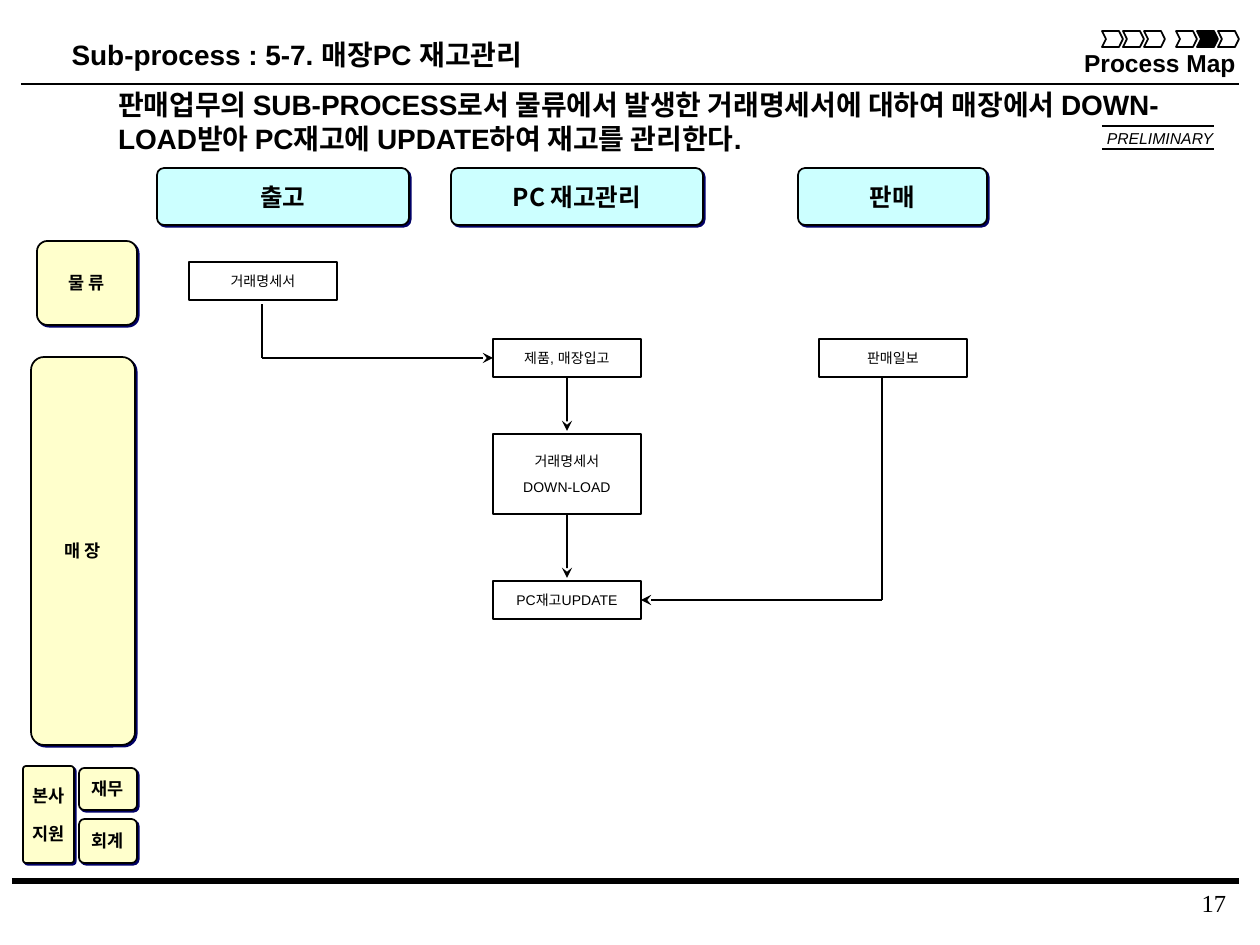
from lxml import etree
from pptx import Presentation
from pptx import util as u
from pptx.dml.color import RGBColor
from pptx.enum import shapes, text
from pptx.oxml.ns import qn

EMU_PER_PX = 914400 / 126
BLACK, WHITE, SHADOW = "000000", "FFFFFF", "000066"
YELLOW, CYAN = "FFFFCC", "CCFFFF"
KOREAN, LATIN, SERIF = "Noto Sans CJK KR", "Arial", "Times New Roman"
CENTER, RIGHT = text.PP_ALIGN.CENTER, text.PP_ALIGN.RIGHT
TOP, LEFT, BOTTOM, SIDE_RIGHT = range(4)


def px(length):
    return u.Emu(round(length * EMU_PER_PX))


def color(code):
    return RGBColor.from_string(code)


def write(box, lines, size, font=LATIN, align=None, bold=False, italic=False,
          gap=0, wrap=True, middle=True, insets=(13, 6)):
    """Fill a shape with paragraphs that share one style; gap is in points."""
    frame = box.text_frame
    frame.word_wrap = wrap
    frame.vertical_anchor = text.MSO_ANCHOR.MIDDLE if middle else text.MSO_ANCHOR.TOP
    frame.margin_left = frame.margin_right = px(insets[0])
    frame.margin_top = frame.margin_bottom = px(insets[1])
    for number, line in enumerate(lines):
        para = frame.add_paragraph() if number else frame.paragraphs[0]
        para.text = line
        para.alignment = align
        if number and gap:
            para.space_before = u.Pt(gap)
        para.font.size = u.Pt(size)
        para.font.bold = bold
        para.font.italic = italic
        para.font.color.rgb = color(BLACK)
        para.font.name = font
        defaults = para._p.pPr.find(qn("a:defRPr"))
        east_asian = etree.SubElement(defaults, qn("a:ea"))
        east_asian.set("typeface", KOREAN)


def add_text(page, place, line, size, **style):
    box = page.shapes.add_textbox(*map(px, place))
    write(box, [line], size, **style)


def outline(shape, fill=None):
    shape.shadow.inherit = False
    if fill:
        shape.fill.solid()
        shape.fill.fore_color.rgb = color(fill)
    else:
        shape.fill.background()
    shape.line.color.rgb = color(BLACK)
    shape.line.width = u.Pt(1)


def add_label(page, place, lines, size, fill, corner=0.125):
    """Rounded lane or stage label with a hard shadow."""
    label = page.shapes.add_shape(shapes.MSO_SHAPE.ROUNDED_RECTANGLE, *map(px, place))
    label.adjustments[0] = corner
    outline(label, fill)
    effects = label._element.spPr.find(qn("a:effectLst"))
    shadow = etree.SubElement(effects, qn("a:outerShdw"), dist=str(u.Pt(1.4)),
                              dir="2700000", algn="ctr", rotWithShape="0")
    etree.SubElement(shadow, qn("a:srgbClr"), val=SHADOW)
    write(label, lines, size, font=KOREAN, align=CENTER, bold=True, gap=10, wrap=False)


def add_step(page, left, top, lines, height=38):
    step = page.shapes.add_shape(shapes.MSO_SHAPE.RECTANGLE,
                                 *map(px, (left, top, 148, height)))
    outline(step, WHITE)
    write(step, lines, 8, align=CENTER, gap=5, insets=(3, 5))
    return step


def add_line(page, start, end, width=1, arrow=False, begin=None, finish=None):
    """Straight line; begin and finish are (shape, side) pairs to join."""
    line = page.shapes.add_connector(shapes.MSO_CONNECTOR.STRAIGHT,
                                     *map(px, (*start, *end)))
    line.line.color.rgb = color(BLACK)
    line.line.width = u.Pt(width)
    if arrow:
        etree.SubElement(line.line._get_or_add_ln(), qn("a:tailEnd"), type="stealth")
    etree.SubElement(line._element.spPr, qn("a:effectLst"))
    if begin:
        line.begin_connect(*begin)
    if finish:
        line.end_connect(*finish)


def add_chevron(page, left, top, fill=None):
    points = [(0, 0), (17, 0), (21, 8), (17, 16), (0, 16), (4, 8)]
    corners = [(px(left + x), px(top + y)) for x, y in points]
    builder = page.shapes.build_freeform(*corners[0])
    builder.add_line_segments(corners[1:], close=True)
    outline(builder.convert_to_shape(), fill)


def add_header(page):
    add_line(page, (21, 84), (1239, 84))
    add_text(page, (45, 32, 504, 46), "Sub-process : 5-7. 매장PC 재고관리", 16,
             align=CENTER, bold=True, wrap=False, middle=False)
    add_text(page, (105, 82, 1102, 79),
             "판매업무의 SUB-PROCESS로서 물류에서 발생한 거래명세서에 대하여 "
             "매장에서 DOWN-LOAD받아 PC재고에 UPDATE하여 재고를 관리한다.",
             16, bold=True, middle=False)
    for group_left, active in ((1102, None), (1176, 1)):
        for number in range(3):
            add_chevron(page, group_left + 21 * number, 31,
                        BLACK if number == active else None)
    add_text(page, (1071, 42, 178, 42), "Process Map", 14,
             align=CENTER, bold=True, wrap=False, middle=False)
    add_text(page, (1102, 128, 111, 21), "PRELIMINARY", 9,
             align=RIGHT, italic=True, insets=(0, 0))
    for y in (126, 149):
        add_line(page, (1102, y), (1214, y))


def add_labels(page):
    for left, width, name in ((157, 252, "출고"), (451, 252, "PC 재고관리"),
                              (798, 189, "판매")):
        add_label(page, (left, 168, width, 57), [name], 14, CYAN)
    for place, name in (((37, 241, 100, 84), "물 류"), ((31, 357, 104, 388), "매 장"),
                        ((79, 768, 58, 42), "재무"), ((79, 819, 58, 44), "회계")):
        add_label(page, place, [name], 10, YELLOW)
    add_label(page, (23, 766, 51, 97), ["본사", "지원"], 10, YELLOW, corner=0.06)


def add_flow(page):
    add_step(page, 189, 262, ["거래명세서"])
    receipt = add_step(page, 493, 339, ["제품, 매장입고"])
    download = add_step(page, 493, 434, ["거래명세서", "DOWN-LOAD"], 80)
    update = add_step(page, 493, 581, ["PC재고UPDATE"])
    add_step(page, 819, 339, ["판매일보"])

    add_line(page, (262, 358), (262, 304))
    add_line(page, (262, 358), (493, 358), arrow=True, finish=(receipt, LEFT))
    add_line(page, (567, 377), (567, 431), arrow=True, begin=(receipt, BOTTOM))
    add_line(page, (567, 514), (567, 578), arrow=True, begin=(download, BOTTOM))
    add_line(page, (882, 600), (882, 377))
    add_line(page, (882, 600), (641, 600), arrow=True, finish=(update, SIDE_RIGHT))


def add_footer(page):
    for left in (21, 12):
        add_line(page, (left, 881), (left + 1218, 881), width=3.75)
    add_text(page, (1008, 882, 231, 32), "17", 14, font=SERIF,
             align=RIGHT, middle=False)


def main():
    deck = Presentation()
    deck.slide_width, deck.slide_height = px(1260), px(945)
    page = deck.slides.add_slide(deck.slide_layouts[6])
    add_header(page)
    add_labels(page)
    add_flow(page)
    add_footer(page)
    deck.save("out.pptx")


if __name__ == "__main__":
    main()
